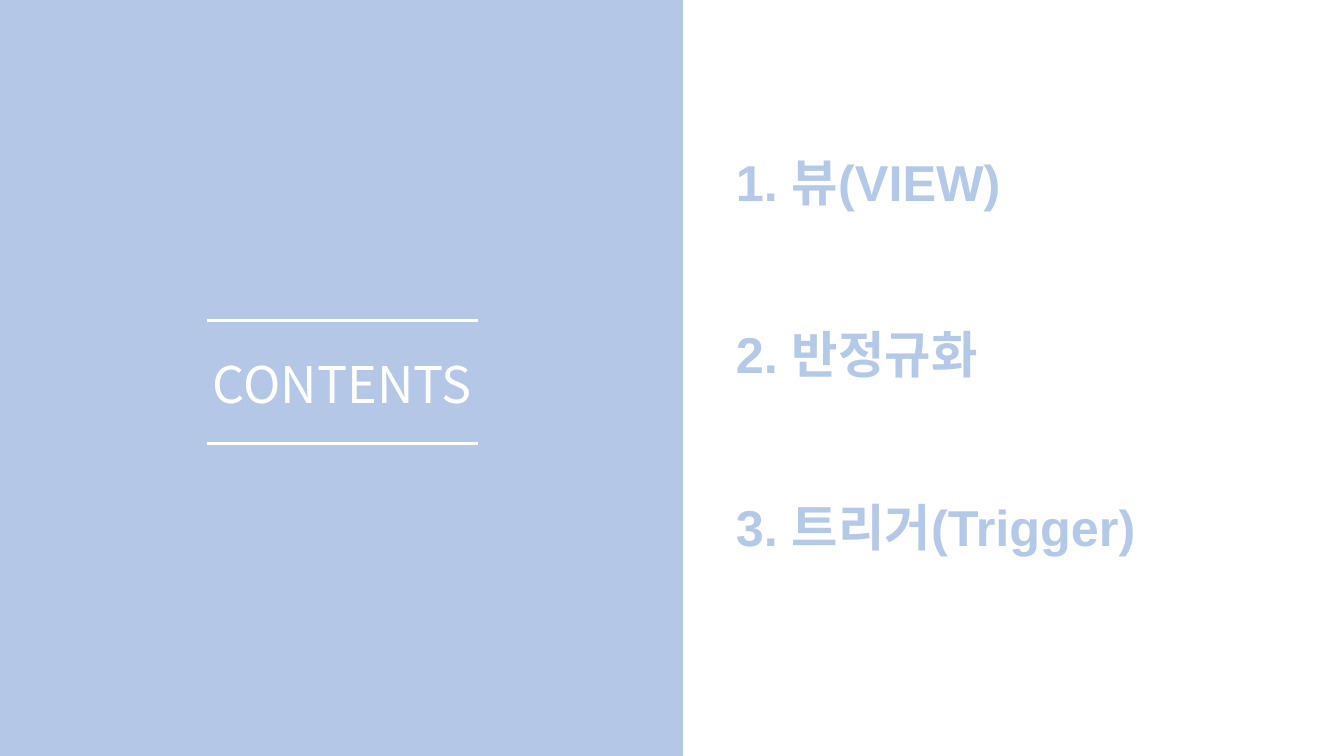
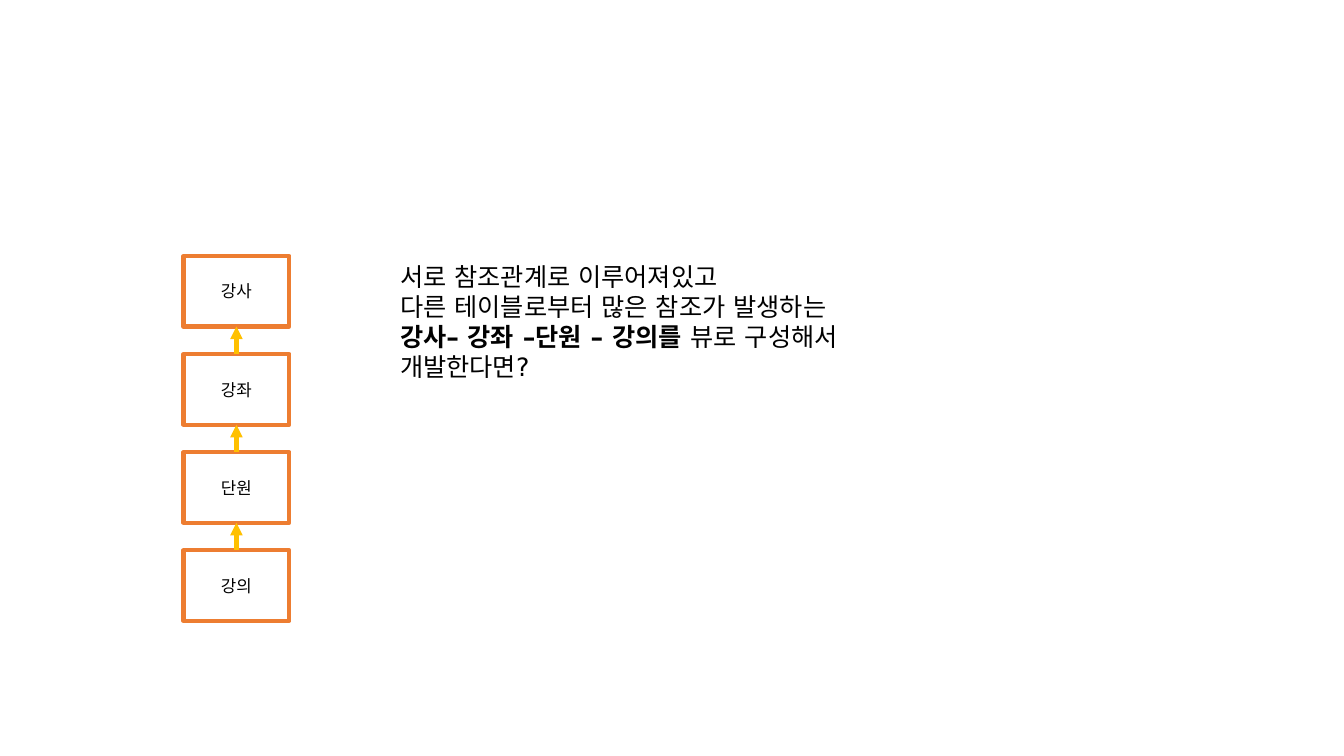
from dataclasses import dataclass

from lxml import etree
from pptx import Presentation
from pptx.dml.color import RGBColor
from pptx.enum.shapes import MSO_CONNECTOR, MSO_SHAPE
from pptx.enum.text import MSO_ANCHOR, MSO_AUTO_SIZE, PP_ALIGN
from pptx.oxml.ns import qn
from pptx.util import Inches, Pt

# Shared style
WHITE = RGBColor(0xFF, 0xFF, 0xFF)
BLACK = RGBColor(0x00, 0x00, 0x00)
PANEL_BLUE = RGBColor(0xB4, 0xC7, 0xE7)
ITEM_BLUE = RGBColor(0xB4, 0xC8, 0xE7)
ORANGE = RGBColor(0xED, 0x7D, 0x31)
GOLD = RGBColor(0xFF, 0xC0, 0x00)
SANS = "Noto Sans CJK KR"
BODY = "DejaVu Sans"
HEADING = "Arial"


@dataclass(frozen=True)
class Area:
    left: float
    top: float
    width: float
    height: float

    def lengths(self) -> tuple:
        return tuple(Inches(v) for v in (self.left, self.top, self.width, self.height))


@dataclass(frozen=True)
class ContentsItem:
    text: str
    width: float
    wrap: bool = False


# Drawing functions
def add_span(para, text: str, *, size: float, font: str, color: RGBColor,
             bold: bool = False) -> None:
    span = para.add_run()
    span.text = text
    span.font.size = Pt(size)
    span.font.name = font
    span.font.bold = bold
    span.font.color.rgb = color
    east_asian = etree.Element(qn("a:ea"), typeface=font)
    span.font._element.find(qn("a:latin")).addnext(east_asian)


def add_box(page, area: Area, *, fill: RGBColor | None = None,
            line: RGBColor | None = None, line_width: float = 1):
    box = page.shapes.add_shape(MSO_SHAPE.RECTANGLE, *area.lengths())
    box.shadow.inherit = False
    if fill is None:
        box.fill.background()
    else:
        box.fill.solid()
        box.fill.fore_color.rgb = fill
    if line is None:
        box.line.fill.background()
    else:
        box.line.color.rgb = line
        box.line.width = Pt(line_width)
    return box


def add_label(box, text: str, **style) -> None:
    box.text_frame.vertical_anchor = MSO_ANCHOR.MIDDLE
    para = box.text_frame.paragraphs[0]
    para.alignment = PP_ALIGN.CENTER
    add_span(para, text, **style)


def add_text_frame(page, area: Area, *, wrap: bool = True):
    frame = page.shapes.add_textbox(*area.lengths()).text_frame
    frame.word_wrap = wrap
    frame.auto_size = MSO_AUTO_SIZE.SHAPE_TO_FIT_TEXT
    return frame


def add_line(page, start: tuple[float, float], end: tuple[float, float], *,
             color: RGBColor, width: float, arrow: bool = False):
    points = [Inches(v) for v in (*start, *end)]
    connector = page.shapes.add_connector(MSO_CONNECTOR.STRAIGHT, *points)
    connector.line.color.rgb = color
    connector.line.width = Pt(width)
    if arrow:
        outline = connector.line._get_or_add_ln()
        etree.SubElement(outline, qn("a:tailEnd"), type="triangle")
    etree.SubElement(connector._element.spPr, qn("a:effectLst"))
    return connector


# Contents page
def build_contents(page) -> None:
    panel = add_box(page, Area(0, 0, 6.79, 7.6), fill=PANEL_BLUE)
    add_label(panel, "CONTENTS", size=36, font=SANS, color=WHITE)
    for y in (3.18, 4.4):
        add_line(page, (2.05, y), (4.74, y), color=WHITE, width=2.25)
    add_box(page, Area(6.78, 0, 6.55, 7.6), fill=WHITE, line=WHITE)

    items = (
        ContentsItem("1. 뷰(VIEW)", 4.93, wrap=True),
        ContentsItem("2. 반정규화", 2.82),
        ContentsItem("3. 트리거(Trigger)", 4.38),
    )
    for index, item in enumerate(items):
        area = Area(7.2, 1.45 + 1.71 * index, item.width, 0.71)
        frame = add_text_frame(page, area, wrap=item.wrap)
        add_span(frame.paragraphs[0], item.text, size=36, font=HEADING,
                 color=ITEM_BLUE, bold=True)


# Reference chain page
def build_reference_chain(page) -> None:
    first_top, last_top = 2.54, 5.46
    names = ("강사", "강좌", "단원", "강의")
    pitch = (last_top - first_top) / (len(names) - 1)
    boxes = []
    for index, name in enumerate(names):
        area = Area(1.82, first_top + pitch * index, 1.05, 0.7)
        box = add_box(page, area, line=ORANGE, line_width=3)
        add_label(box, name, size=12, font=SANS, color=BLACK)
        boxes.append(box)

    # Each table points up to the one it refers to
    for parent, child in zip(boxes, boxes[1:]):
        arrow = add_line(page, (0, 0), (0, 0), color=GOLD, width=3, arrow=True)
        arrow.begin_connect(child, 0)
        arrow.end_connect(parent, 2)

    # Question, as (text, font, bold) spans per paragraph
    question = (
        (("서로 참조관계로 이루어져있고", BODY, False),),
        (("다른 테이블로부터 많은 참조가 발생하는", BODY, False),),
        (("강사", SANS, True), ("– 강좌 –단원 – 강의를 ", BODY, True),
         ("뷰로 구성해서", BODY, False)),
        (("개발한다면?", BODY, False),),
    )
    frame = add_text_frame(page, Area(3.87, 2.54, 6.67, 1.31))
    for index, spans in enumerate(question):
        para = frame.add_paragraph() if index else frame.paragraphs[0]
        for text, font, bold in spans:
            add_span(para, text, size=18, font=font, color=BLACK, bold=bold)


def main() -> None:
    deck = Presentation()
    deck.slide_width, deck.slide_height = Inches(13.33), Inches(7.5)
    for build in (build_contents, build_reference_chain):
        build(deck.slides.add_slide(deck.slide_layouts[6]))
    deck.save("out.pptx")


if __name__ == "__main__":
    main()
